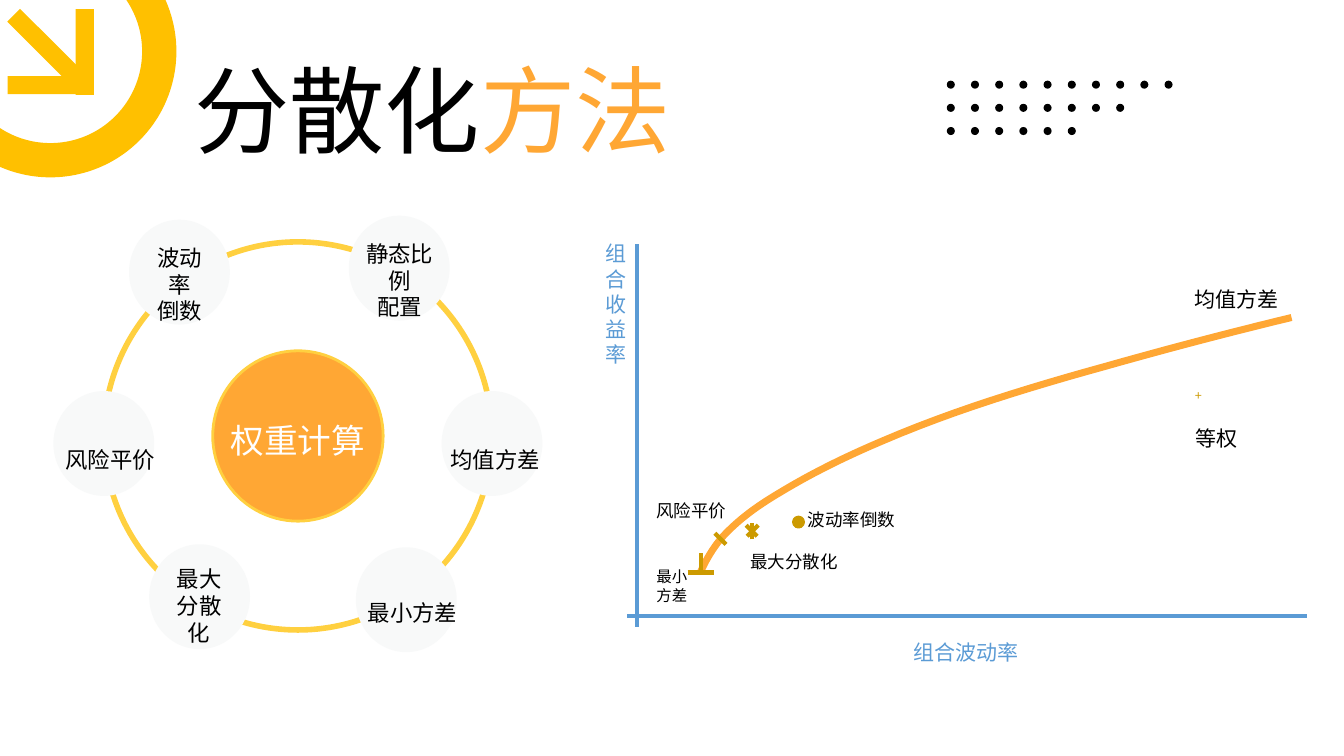
from dataclasses import dataclass

from lxml import etree
from pptx import Presentation
from pptx.dml.color import RGBColor
from pptx.enum.shapes import MSO_CONNECTOR, MSO_SHAPE
from pptx.enum.text import MSO_ANCHOR, MSO_AUTO_SIZE, PP_ALIGN
from pptx.oxml.ns import qn
from pptx.util import Inches, Pt

OVAL, RECTANGLE, DONUT = MSO_SHAPE.OVAL, MSO_SHAPE.RECTANGLE, MSO_SHAPE.DONUT
STRAIGHT = MSO_CONNECTOR.STRAIGHT
LEFT, CENTER = PP_ALIGN.LEFT, PP_ALIGN.CENTER
TOP, MIDDLE = MSO_ANCHOR.TOP, MSO_ANCHOR.MIDDLE
FIT_TEXT = MSO_AUTO_SIZE.SHAPE_TO_FIT_TEXT

FONT = "Noto Sans CJK SC"
BLACK, WHITE, ORANGE, YELLOW = "000000", "FFFFFF", "FFA734", "FFD040"
LOGO_YELLOW, NODE_GREY, GOLD, BLUE = "FFC000", "F8F9F9", "CC9A00", "5B9BD5"


@dataclass
class Label:
    text: str
    left: float
    top: float
    width: float
    height: float
    size: float
    color: str = BLACK
    align: PP_ALIGN = LEFT
    anchor: MSO_ANCHOR = TOP
    spacing: float = 1.0
    inset: float | None = None
    wrap: bool = True


@dataclass
class Node:
    """One circle on the ring and its label."""
    left: float
    top: float
    label: Label


@dataclass
class Stroke:
    start: tuple[float, float]
    end: tuple[float, float]
    color: str = GOLD


def method_label(text: str, left: float, top: float, width: float) -> Label:
    return Label(text, left, top, width, 0.5, 16, spacing=1.5)


def stacked_label(text: str, left: float, top: float, width: float) -> Label:
    return Label(text, left, top, width, 0.91, 16, align=CENTER)


def plot_label(text: str, left: float, top: float, width: float, height: float,
               size: float, color: str = BLACK) -> Label:
    return Label(text, left, top, width, height, size, color, inset=0.05, wrap=False)


NODES = [
    Node(4.38, 3.88, method_label("均值方差", 4.37, 4.24, 1.51)),
    Node(3.46, 2.14, stacked_label("静态比例\n配置", 3.45, 2.33, 1.03)),
    Node(3.53, 5.43, method_label("最小方差", 3.55, 5.76, 1.52)),
    Node(1.48, 5.4, stacked_label("最大\n分散化", 1.59, 5.56, 0.77)),
    Node(0.53, 3.88, method_label("风险平价", 0.55, 4.24, 1.52)),
    Node(1.28, 2.18, stacked_label("波动率\n倒数", 1.38, 2.37, 0.81)),
]
CENTER_LABEL = Label("权重计算", 2.23, 4.19, 1.45, 0.41, 24, WHITE, CENTER, MIDDLE,
                     spacing=0.9, inset=0.02)
TITLE = Label("分散化", 1.83, 0.45, 5.17, 1.25, 68, anchor=MIDDLE)
PLOT_LABELS = [
    plot_label("+", 11.8, 3.8, 0.19, 0.25, 9, GOLD),
    plot_label("均值方差", 11.8, 2.79, 0.94, 0.35, 15),
    plot_label("等权", 11.81, 4.17, 0.52, 0.35, 15),
    plot_label("波动率倒数", 7.96, 5, 0.98, 0.31, 12.5),
    plot_label("最大分散化", 7.39, 5.42, 0.98, 0.31, 12.5),
    plot_label("风险平价", 6.46, 4.91, 0.8, 0.31, 12.5),
    plot_label("最小\n方差", 6.46, 5.58, 0.41, 0.47, 11),
    plot_label("组合波动率", 9.01, 6.3, 1.15, 0.35, 15, BLUE),
    plot_label("组\n合\n收\n益\n率", 5.96, 2.34, 0.31, 1.36, 15, BLUE),
]
STROKES = [
    Stroke((7.41, 5.32), (7.52, 5.21)),
    Stroke((7.51, 5.32), (7.4, 5.21)),
    Stroke((7.46, 5.35), (7.46, 5.19)),
    Stroke((7.2, 5.4), (7.09, 5.29)),
    Stroke((6.95, 5.68), (6.95, 5.49)),
    Stroke((6.82, 5.68), (7.08, 5.68)),
    Stroke((6.32, 6.22), (6.32, 2.42), BLUE),
    Stroke((6.22, 6.11), (12.96, 6.11), BLUE),
]
# Cubic Bezier knots: each segment shares its last point with the next
FRONTIER = [
    (6.95, 5.67), (7.02, 5.52), (7.1, 5.39), (7.21, 5.28),
    (7.33, 5.16), (7.46, 5.06), (7.6, 4.97),
    (7.96, 4.74), (8.34, 4.55), (8.74, 4.38),
    (9.46, 4.07), (10.22, 3.84), (10.98, 3.63),
    (11.58, 3.46), (12.19, 3.3), (12.81, 3.15),
]
CURVE_STEPS = 12
DOT_ROWS = [10, 8, 6]


def rgb(color: str) -> RGBColor:
    return RGBColor.from_string(color)


def style_shape(shape, fill: str | None, line: str | None = None, width: float = 0) -> None:
    shape.shadow.inherit = False
    if fill:
        shape.fill.solid()
        shape.fill.fore_color.rgb = rgb(fill)
    else:
        shape.fill.background()
    if line:
        shape.line.color.rgb = rgb(line)
        shape.line.width = Pt(width)
    else:
        shape.line.fill.background()


def add_preset(slide, preset: MSO_SHAPE, left: float, top: float, width: float, height: float,
               fill: str | None, line: str | None = None, line_width: float = 0):
    shape = slide.shapes.add_shape(preset, Inches(left), Inches(top), Inches(width), Inches(height))
    style_shape(shape, fill, line, line_width)
    return shape


def format_run(run, size: float, color: str) -> None:
    run.font.size = Pt(size)
    run.font.color.rgb = rgb(color)
    run.font.name = FONT
    etree.SubElement(run.font._element, qn("a:ea")).set("typeface", FONT)


def add_label(slide, label: Label):
    box = slide.shapes.add_textbox(Inches(label.left), Inches(label.top),
                                   Inches(label.width), Inches(label.height))
    frame = box.text_frame
    frame.text = label.text
    frame.word_wrap = label.wrap
    frame.auto_size = FIT_TEXT
    frame.vertical_anchor = label.anchor
    if label.inset is not None:
        frame.margin_left = frame.margin_right = Inches(label.inset)
        frame.margin_top = frame.margin_bottom = Inches(label.inset)
    for paragraph in frame.paragraphs:
        paragraph.alignment = label.align
        paragraph.line_spacing = label.spacing
        for run in paragraph.runs:
            format_run(run, label.size, label.color)
    return box


def add_stroke(slide, stroke: Stroke) -> None:
    ends = [Inches(value) for value in (*stroke.start, *stroke.end)]
    connector = slide.shapes.add_connector(STRAIGHT, *ends)
    connector.line.color.rgb = rgb(stroke.color)
    connector.line.width = Pt(3)
    etree.SubElement(connector._element.spPr, qn("a:effectLst"))


def bezier_point(knots: list[tuple[float, float]], t: float) -> tuple[int, int]:
    weights = ((1 - t) ** 3, 3 * t * (1 - t) ** 2, 3 * t ** 2 * (1 - t), t ** 3)
    x, y = (sum(w * knot[axis] for w, knot in zip(weights, knots)) for axis in (0, 1))
    return Inches(x), Inches(y)


def add_frontier(slide) -> None:
    points = [bezier_point(FRONTIER[i:i + 4], step / CURVE_STEPS)
              for i in range(0, len(FRONTIER) - 1, 3) for step in range(1, CURVE_STEPS + 1)]
    start_x, start_y = bezier_point(FRONTIER[:4], 0)
    builder = slide.shapes.build_freeform(start_x, start_y)
    builder.add_line_segments(points, close=False)
    style_shape(builder.convert_to_shape(), None, ORANGE, 5)


def add_corner_arrow(slide) -> None:
    ring = add_preset(slide, DONUT, -0.75, -0.74, 2.5, 2.5, LOGO_YELLOW)
    ring.adjustments[0] = 0.136
    for left, top, height, angle in ((0.75, 0.09, 0.85, 180), (0.41, 0.42, 0.85, 90),
                                     (0.41, 0, 1.03, 315)):
        bar = add_preset(slide, RECTANGLE, left, top, 0.18, height, LOGO_YELLOW)
        bar.rotation = angle


def main() -> None:
    presentation = Presentation()
    presentation.slide_width, presentation.slide_height = Inches(13.33), Inches(7.5)
    slide = presentation.slides.add_slide(presentation.slide_layouts[6])

    add_preset(slide, OVAL, 1.03, 2.4, 3.85, 3.85, None, YELLOW, 4)
    add_preset(slide, OVAL, 2.11, 3.48, 1.69, 1.69, ORANGE, YELLOW, 2)
    add_label(slide, CENTER_LABEL)
    for node in NODES:
        add_preset(slide, OVAL, node.left, node.top, 1, 1.04, NODE_GREY)
        add_label(slide, node.label)

    title = add_label(slide, TITLE)
    accent = title.text_frame.paragraphs[0].add_run()
    accent.text = "方法"
    format_run(accent, TITLE.size, ORANGE)
    add_corner_arrow(slide)

    add_frontier(slide)
    for stroke in STROKES:
        add_stroke(slide, stroke)
    add_preset(slide, OVAL, 7.87, 5.13, 0.1, 0.1, GOLD, GOLD, 2)
    for label in PLOT_LABELS:
        add_label(slide, label)

    for row, count in enumerate(DOT_ROWS):
        for column in range(count):
            add_preset(slide, OVAL, 9.39 + 0.24 * column, 0.8 + 0.23 * row, 0.08, 0.08, BLACK)
    presentation.save("out.pptx")


if __name__ == "__main__":
    main()
